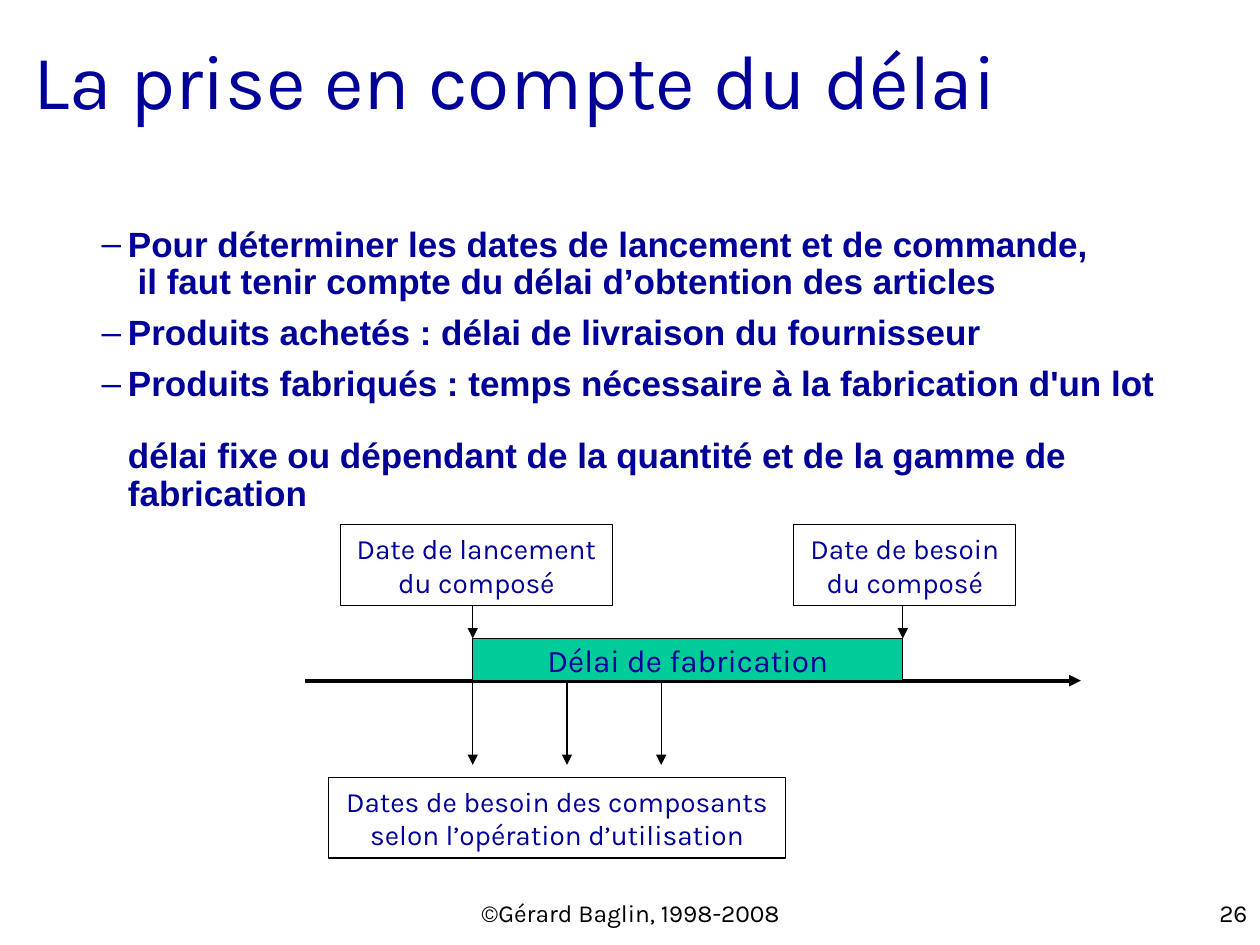
from lxml.etree import SubElement
from pptx import Presentation
from pptx.dml.color import RGBColor
from pptx.enum.shapes import MSO_CONNECTOR, MSO_SHAPE
from pptx.enum.text import MSO_ANCHOR, PP_ALIGN
from pptx.oxml.ns import qn
from pptx.util import Cm, Pt

NAVY = RGBColor(0x00, 0x00, 0x99)
GREEN = RGBColor(0x00, 0xCC, 0x99)
BLACK = RGBColor(0x00, 0x00, 0x00)

# Levels and dates shared by the parts of the timeline, in cm
BAR_TOP, AXIS_Y = 12.87, 13.72
LAUNCH_X, NEED_X = 9.53, 18.2
LABEL_TOP, LABEL_HEIGHT = 10.58, 1.63
COMPONENT_STEP = 1.9

presentation = Presentation()
presentation.slide_width = Cm(25.4)
presentation.slide_height = Cm(19.05)
slide = presentation.slides.add_slide(presentation.slide_layouts[6])


def write(shape, text, size, color=NAVY, align=PP_ALIGN.LEFT, font="Karla", bold=False):
    text_frame = shape.text_frame
    text_frame.text = text
    for paragraph in text_frame.paragraphs:
        paragraph.alignment = align
        for run in paragraph.runs:
            run.font.name = font
            run.font.size = Pt(size)
            run.font.bold = bold
            run.font.color.rgb = color


def add_arrow(x1, y1, x2, y2, width=0.75):
    arrow = slide.shapes.add_connector(
        MSO_CONNECTOR.STRAIGHT, Cm(x1), Cm(y1), Cm(x2), Cm(y2))
    arrow.line.color.rgb = BLACK
    arrow.line.width = Pt(width)
    SubElement(arrow.line._get_or_add_ln(), qn("a:tailEnd"), type="triangle")
    SubElement(arrow._element.spPr, qn("a:effectLst"))


# Title
title = slide.shapes.add_textbox(Cm(0.43), Cm(0), Cm(21.59), Cm(3.18))
title.text_frame.word_wrap = True
title.text_frame.vertical_anchor = MSO_ANCHOR.MIDDLE
write(title, "La prise en compte du délai", 44)

# Dashed list
body = slide.shapes.add_textbox(Cm(1.27), Cm(4.45), Cm(22.43), Cm(5.5))
body.text_frame.word_wrap = True
write(body, "\n".join([
    "Pour déterminer les dates de lancement et de commande,"
    "\v il faut tenir compte du délai d’obtention des articles",
    "Produits achetés : délai de livraison du fournisseur",
    "Produits fabriqués : temps nécessaire à la fabrication d'un lot "
    "\vdélai fixe ou dépendant de la quantité et de la gamme de fabrication",
]), 20, font="Arial", bold=True)
for paragraph in body.text_frame.paragraphs:
    paragraph.level = 1
    paragraph.line_spacing = 0.9
    paragraph.space_before = Pt(7.5)
    properties = paragraph._p.get_or_add_pPr()
    properties.set("marL", str(Cm(1.06)))
    properties.set("indent", str(Cm(-0.53)))
    bullet_color = SubElement(properties, qn("a:buClr"))
    SubElement(bullet_color, qn("a:srgbClr"), val=str(NAVY))
    SubElement(properties, qn("a:buFont"), typeface="Arial")
    SubElement(properties, qn("a:buChar"), char="–")

# Time axis, then the arrows from the upper labels to the bar
add_arrow(6.15, AXIS_Y, 21.79, AXIS_Y, 2.25)
for x in (LAUNCH_X, NEED_X):
    add_arrow(x, LABEL_TOP + LABEL_HEIGHT, x, BAR_TOP)

# Labels and manufacturing bar: text, left, top, width, height, size, fill
boxes = [
    ("Date de besoin\ndu composé", 16, LABEL_TOP, 4.48, LABEL_HEIGHT, 16, None),
    ("Date de lancement\ndu composé", 6.86, LABEL_TOP, 5.49, LABEL_HEIGHT, 16, None),
    ("Délai de fabrication", LAUNCH_X, BAR_TOP, NEED_X - LAUNCH_X,
     AXIS_Y - BAR_TOP, 18, GREEN),
    ("Dates de besoin des composants\nselon l’opération d’utilisation",
     6.63, 15.67, 9.2, LABEL_HEIGHT, 16, None),
]
for text, left, top, width, height, size, fill in boxes:
    box = slide.shapes.add_shape(
        MSO_SHAPE.RECTANGLE, Cm(left), Cm(top), Cm(width), Cm(height))
    box.shadow.inherit = False
    if fill is None:
        box.fill.background()
    else:
        box.fill.solid()
        box.fill.fore_color.rgb = fill
    box.line.color.rgb = BLACK
    box.line.width = Pt(0.75)
    box.text_frame.word_wrap = False
    box.text_frame.vertical_anchor = MSO_ANCHOR.MIDDLE
    write(box, text, size, align=PP_ALIGN.CENTER)

# Component need dates
for index in range(3):
    x = LAUNCH_X + index * COMPONENT_STEP
    add_arrow(x, AXIS_Y, x, 15.42)

# Footer and slide number
for text, left, width, align in [
    ("©Gérard Baglin, 1998-2008", 8.69, 8.05, PP_ALIGN.CENTER),
    ("26", 20.12, 5.28, PP_ALIGN.RIGHT),
]:
    footer = slide.shapes.add_textbox(Cm(left), Cm(17.98), Cm(width), Cm(0.64))
    footer.text_frame.word_wrap = True
    write(footer, text, 14, BLACK, align)

presentation.save("out.pptx")
